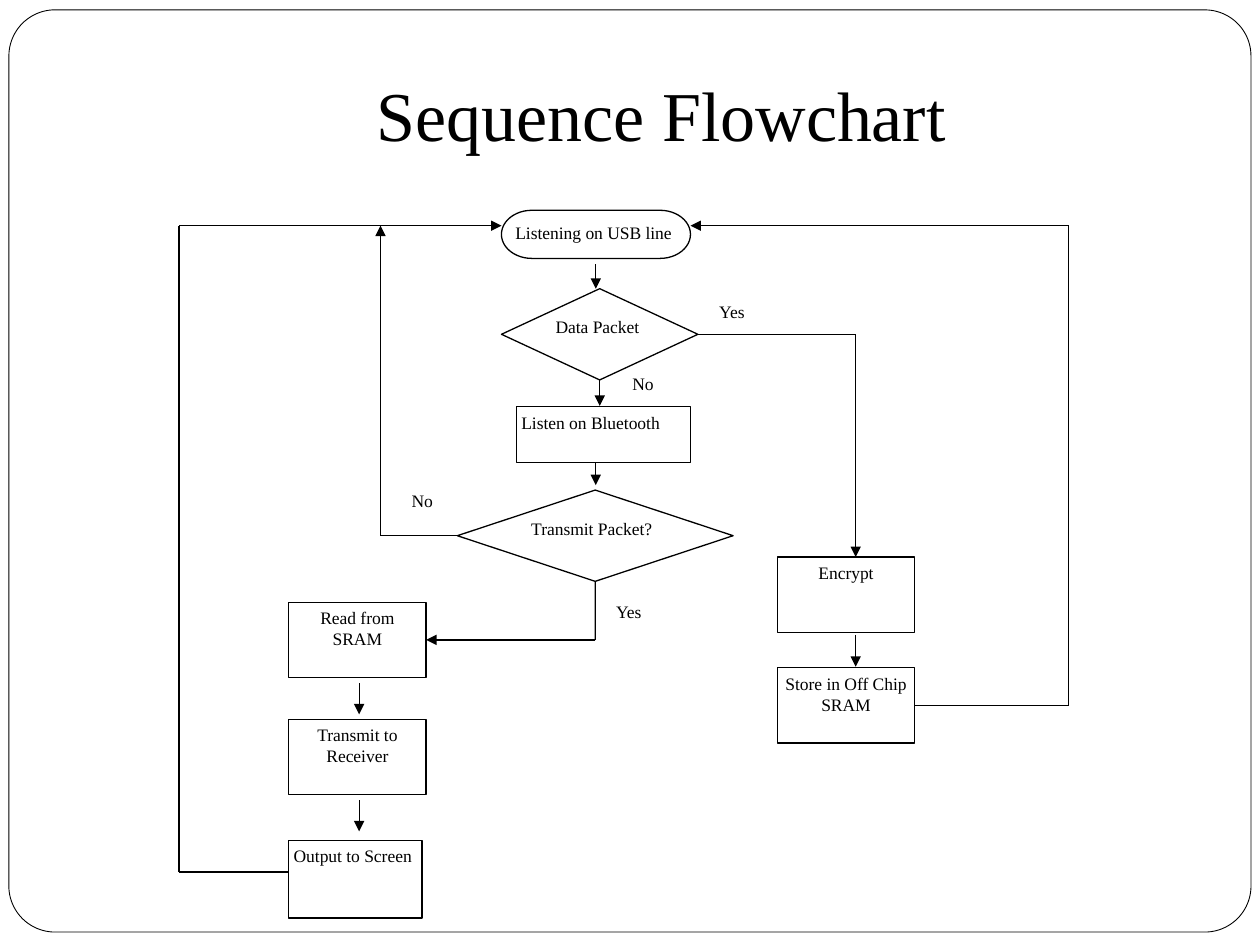
from dataclasses import dataclass
from itertools import pairwise
from typing import NamedTuple, Optional

from lxml import etree
from pptx import Presentation
from pptx.dml.color import RGBColor
from pptx.enum.shapes import MSO_CONNECTOR, MSO_SHAPE
from pptx.enum.text import MSO_ANCHOR, PP_ALIGN
from pptx.oxml.ns import qn
from pptx.util import Cm, Pt

STRAIGHT = MSO_CONNECTOR.STRAIGHT
ROUNDED = MSO_SHAPE.ROUNDED_RECTANGLE
RECTANGLE = MSO_SHAPE.RECTANGLE
PROCESS = MSO_SHAPE.FLOWCHART_PROCESS
DECISION = MSO_SHAPE.FLOWCHART_DECISION
TERMINATOR = MSO_SHAPE.FLOWCHART_TERMINATOR
TOP, BOTTOM = MSO_ANCHOR.TOP, MSO_ANCHOR.BOTTOM
LEFT, CENTER = PP_ALIGN.LEFT, PP_ALIGN.CENTER
SITE_LEFT, SITE_BOTTOM, SITE_RIGHT = 1, 2, 3


@dataclass(frozen=True)
class Theme:
    ink: RGBColor = RGBColor(0, 0, 0)
    paper: RGBColor = RGBColor(255, 255, 255)
    font: str = "Times New Roman"
    title_size: Pt = Pt(40)
    body_size: Pt = Pt(10)
    frame_width: Pt = Pt(0.5)
    line_width: Pt = Pt(0.75)


class Box(NamedTuple):
    left: float
    top: float
    width: float
    height: float


class Step(NamedTuple):
    text: str
    kind: MSO_SHAPE
    box: Box
    align: PP_ALIGN = LEFT


class Joint(NamedTuple):
    step: str
    site: int


class Flow(NamedTuple):
    points: list[tuple[float, float]]
    start: Optional[Joint] = None
    end: Optional[Joint] = None


THEME = Theme()
FRAME = Box(0.18, 0.2, 25.04, 18.59)
TITLE = Box(2.54, 0.76, 21.59, 2.62)
INSET = 0.1
STORAGE_X, SCREEN_X = 15.67, 5.82
PROCESS_SIZE = (2.77, 1.52)
ANSWER_SIZE = (0.97, 0.64)
LOOP_Y, MAIN_X, STORAGE_FLOW_X, SCREEN_FLOW_X = 4.55, 12.01, 17.25, 7.24

STEPS = [
    Step("Listening on USB line", TERMINATOR, Box(10.11, 4.24, 3.81, 0.97)),
    Step("Data Packet", DECISION, Box(10.11, 5.82, 3.96, 1.84)),
    Step("Listen on Bluetooth", PROCESS, Box(10.41, 8.2, 3.51, 1.12)),
    Step("Transmit Packet?", DECISION, Box(9.22, 9.88, 5.56, 1.84)),
    Step("Encrypt", PROCESS, Box(STORAGE_X, 11.23, *PROCESS_SIZE), CENTER),
    Step("Store in Off Chip SRAM", PROCESS, Box(STORAGE_X, 13.46, *PROCESS_SIZE), CENTER),
    Step("Read from SRAM", PROCESS, Box(SCREEN_X, 12.14, *PROCESS_SIZE), CENTER),
    Step("Transmit to Receiver", PROCESS, Box(SCREEN_X, 14.5, *PROCESS_SIZE), CENTER),
    Step("Output to Screen", RECTANGLE, Box(SCREEN_X, 16.94, 2.69, 1.57)),
]

ANSWERS = [
    ("Yes", 14.4, 5.97),
    ("Yes", 12.32, 12.01),
    ("No", 12.65, 7.42),
    ("No", 8.2, 9.78),
]

FLOWS = [
    Flow([(MAIN_X, 5.33), (MAIN_X, 5.82)]),
    Flow([(12.09, 7.66), (12.09, 8.18)], start=Joint("Data Packet", SITE_BOTTOM)),
    Flow([(MAIN_X, 9.32), (MAIN_X, 9.78)]),
    Flow([(14.07, 6.74), (STORAGE_FLOW_X, 6.74), (STORAGE_FLOW_X, 11.23)],
         start=Joint("Data Packet", SITE_RIGHT)),
    Flow([(STORAGE_FLOW_X, 12.8), (STORAGE_FLOW_X, 13.44)]),
    Flow([(18.44, 14.22), (21.54, 14.22), (21.54, LOOP_Y), (13.92, LOOP_Y)],
         start=Joint("Store in Off Chip SRAM", SITE_RIGHT)),
    Flow([(9.22, 10.8), (7.67, 10.8), (7.67, LOOP_Y)],
         start=Joint("Transmit Packet?", SITE_LEFT)),
    Flow([(12, 11.72), (12, 12.9), (8.59, 12.9)],
         start=Joint("Transmit Packet?", SITE_BOTTOM), end=Joint("Read from SRAM", SITE_RIGHT)),
    Flow([(SCREEN_FLOW_X, 13.77), (SCREEN_FLOW_X, 14.4)]),
    Flow([(SCREEN_FLOW_X, 16.13), (SCREEN_FLOW_X, 16.76)]),
    Flow([(SCREEN_X, 17.58), (3.61, 17.58), (3.61, LOOP_Y), (10.11, LOOP_Y)]),
]


def write(shape, text: str, size: Pt, align: PP_ALIGN = LEFT, anchor: MSO_ANCHOR = TOP,
          insets: tuple = (INSET,) * 4) -> None:
    frame = shape.text_frame
    frame.word_wrap = True
    frame.vertical_anchor = anchor
    frame.margin_left, frame.margin_top, frame.margin_right, frame.margin_bottom = map(Cm, insets)
    frame.text = text
    paragraph = frame.paragraphs[0]
    paragraph.alignment = align
    paragraph.font.name = THEME.font
    paragraph.font.size = size
    paragraph.font.color.rgb = THEME.ink


def add_outline(slide, kind: MSO_SHAPE, box: Box, width: Pt):
    shape = slide.shapes.add_shape(kind, *map(Cm, box))
    shape.shadow.inherit = False
    shape.fill.background()
    shape.line.color.rgb = THEME.ink
    shape.line.width = width
    return shape


def add_frame(slide) -> None:
    frame = add_outline(slide, ROUNDED, FRAME, THEME.frame_width)
    frame.adjustments[0] = 0.05
    frame.fill.solid()
    frame.fill.fore_color.rgb = THEME.paper


def add_step(slide, step: Step):
    shape = add_outline(slide, step.kind, step.box, THEME.line_width)
    write(shape, step.text, THEME.body_size, step.align)
    return shape


def add_segment(slide, start: tuple, end: tuple, arrow: bool):
    segment = slide.shapes.add_connector(STRAIGHT, *map(Cm, (*start, *end)))
    segment.line.color.rgb = THEME.ink
    segment.line.width = THEME.line_width
    properties = segment.element.spPr
    if arrow:
        etree.SubElement(properties.find(qn("a:ln")), qn("a:tailEnd"), type="triangle")
    etree.SubElement(properties, qn("a:effectLst"))
    return segment


def add_flow(slide, flow: Flow, steps: dict) -> None:
    last = len(flow.points) - 2
    segments = [add_segment(slide, a, b, index == last)
                for index, (a, b) in enumerate(pairwise(flow.points))]
    if flow.start:
        segments[0].begin_connect(steps[flow.start.step], flow.start.site)
    if flow.end:
        segments[-1].end_connect(steps[flow.end.step], flow.end.site)


def main() -> None:
    deck = Presentation()
    deck.slide_width, deck.slide_height = Cm(25.4), Cm(19.05)
    slide = deck.slides.add_slide(deck.slide_layouts[6])

    add_frame(slide)
    title = slide.shapes.add_textbox(*map(Cm, TITLE))
    write(title, "Sequence Flowchart", THEME.title_size, CENTER, BOTTOM, (0.25, 0.13, 0.25, 0.25))

    steps = {step.text: add_step(slide, step) for step in STEPS}
    for flow in FLOWS:
        add_flow(slide, flow, steps)
    for text, left, top in ANSWERS:
        answer = slide.shapes.add_textbox(*map(Cm, (left, top, *ANSWER_SIZE)))
        write(answer, text, THEME.body_size)

    deck.save("out.pptx")


if __name__ == "__main__":
    main()
